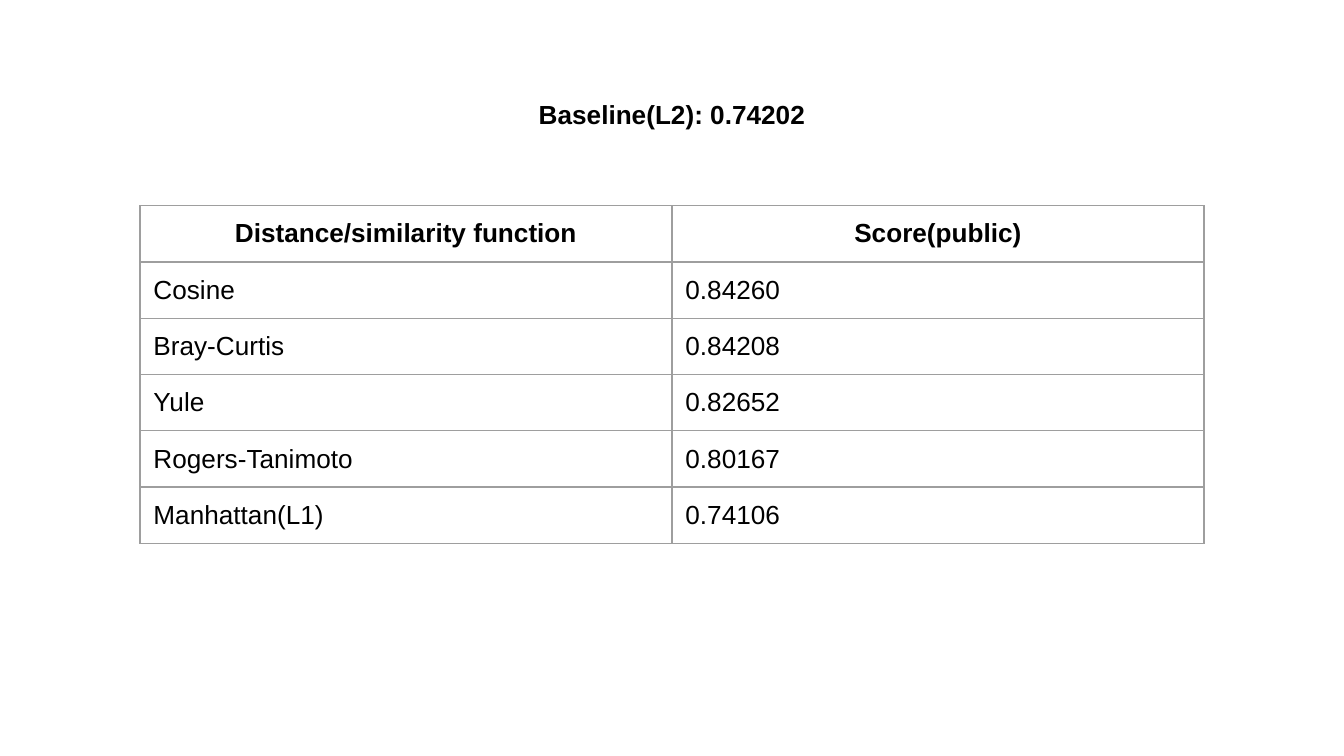
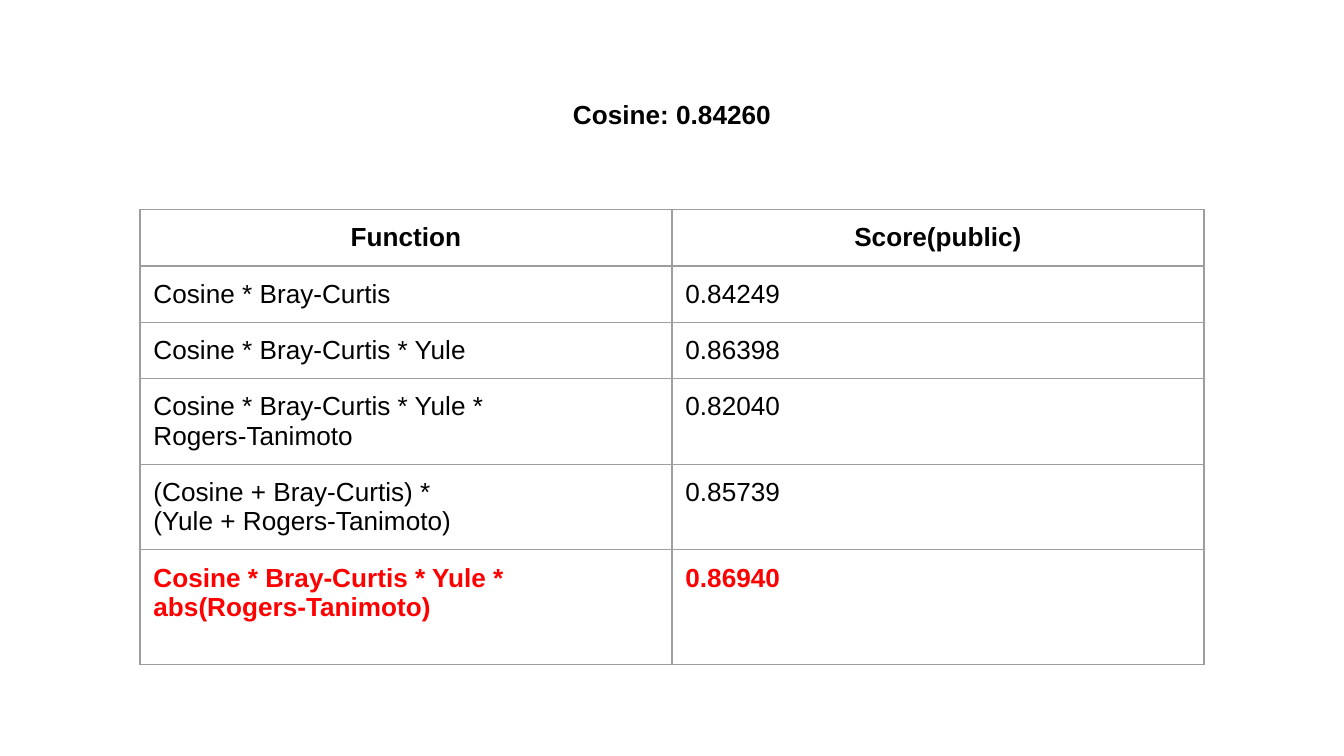
import pptx
import pptx.util
import pptx.dml.color
import pptx.enum.text
import pptx.oxml.ns
from lxml import etree

Inches, Pt = pptx.util.Inches, pptx.util.Pt
RGB = pptx.dml.color.RGBColor
ALIGN = pptx.enum.text.PP_ALIGN
ANCHOR = pptx.enum.text.MSO_ANCHOR

THEME = {
    "font": "Arial",
    "size": Pt(14),
    "text": RGB.from_string("000000"),
    "accent": RGB.from_string("FF0000"),
    "border": "9E9E9E",
    "border_width": Pt(0.75),
    "inset": Inches(0.1),
}
MARGINS = ("margin_left", "margin_top", "margin_right", "margin_bottom")

# Grid on a 16:9 slide
W = Inches(10)
H = W * 9 // 16
TITLE_BOX = (W // 10, Inches(0.63), W * 8 // 10, Inches(0.93))
COL_W = Pt(285)
TABLE_X = (W - 2 * COL_W) // 2
ROW_H, LINE_H = Pt(30), Pt(15.75)

# Content: the winning formula is marked and has one spare line below it
SLIDES = [
    {
        "title": "Baseline(L2): 0.74202",
        "top": Inches(1.53),
        "rows": [
            ("Distance/similarity function", "Score(public)"),
            ("Cosine", "0.84260"),
            ("Bray-Curtis", "0.84208"),
            ("Yule", "0.82652"),
            ("Rogers-Tanimoto", "0.80167"),
            ("Manhattan(L1)", "0.74106"),
        ],
        "winner": None,
    },
    {
        "title": "Cosine: 0.84260",
        "top": Inches(1.56),
        "rows": [
            ("Function", "Score(public)"),
            ("Cosine * Bray-Curtis", "0.84249"),
            ("Cosine * Bray-Curtis * Yule", "0.86398"),
            ("Cosine * Bray-Curtis * Yule *\nRogers-Tanimoto", "0.82040"),
            ("(Cosine + Bray-Curtis) *\n(Yule + Rogers-Tanimoto)", "0.85739"),
            ("Cosine * Bray-Curtis * Yule *\nabs(Rogers-Tanimoto)", "0.86940"),
        ],
        "winner": 5,
    },
]


def write(tf, text, align, bold, color):
    tf.text = text
    for p in tf.paragraphs:
        p.alignment = align
        for r in p.runs:
            font = {"name": THEME["font"], "size": THEME["size"], "bold": bold}
            for key, value in font.items():
                setattr(r.font, key, value)
            r.font.color.rgb = color


def add_borders(cell):
    tcPr = cell._tc.get_or_add_tcPr()
    qn = pptx.oxml.ns.qn
    for side in ("a:lnL", "a:lnR", "a:lnT", "a:lnB"):
        ln = etree.SubElement(tcPr, qn(side), w=str(THEME["border_width"]))
        fill = etree.SubElement(ln, qn("a:solidFill"))
        etree.SubElement(fill, qn("a:srgbClr"), val=THEME["border"])


prs = pptx.Presentation()
prs.slide_width, prs.slide_height = W, H
title_only = prs.slide_layouts[5]

for content in SLIDES:
    s = prs.slides.add_slide(title_only)

    # Title
    sp = s.shapes.title
    sp.left, sp.top, sp.width, sp.height = TITLE_BOX
    tf = sp.text_frame
    frame = {
        "word_wrap": True,
        "auto_size": pptx.enum.text.MSO_AUTO_SIZE.NONE,
        "vertical_anchor": ANCHOR.TOP,
        **dict.fromkeys(MARGINS, THEME["inset"]),
    }
    for key, value in frame.items():
        setattr(tf, key, value)
    write(tf, content["title"], ALIGN.CENTER, True, THEME["text"])

    # Score table
    rows = content["rows"]
    table = s.shapes.add_table(
        len(rows), 2, TABLE_X, content["top"], 2 * COL_W, ROW_H * len(rows)
    ).table
    table.first_row = table.horz_banding = False
    for col in table.columns:
        col.width = COL_W

    for i, values in enumerate(rows):
        header, winner = i == 0, i == content["winner"]
        extra_lines = values[0].count("\n") + winner
        table.rows[i].height = ROW_H + LINE_H * extra_lines
        for j, value in enumerate(values):
            cell = table.cell(i, j)
            for margin in MARGINS:
                setattr(cell, margin, THEME["inset"])
            cell.vertical_anchor = ANCHOR.TOP
            add_borders(cell)
            cell.fill.background()
            write(
                cell.text_frame,
                value,
                ALIGN.CENTER if header else ALIGN.LEFT,
                header or winner,
                THEME["accent"] if winner else THEME["text"],
            )

prs.save("out.pptx")
